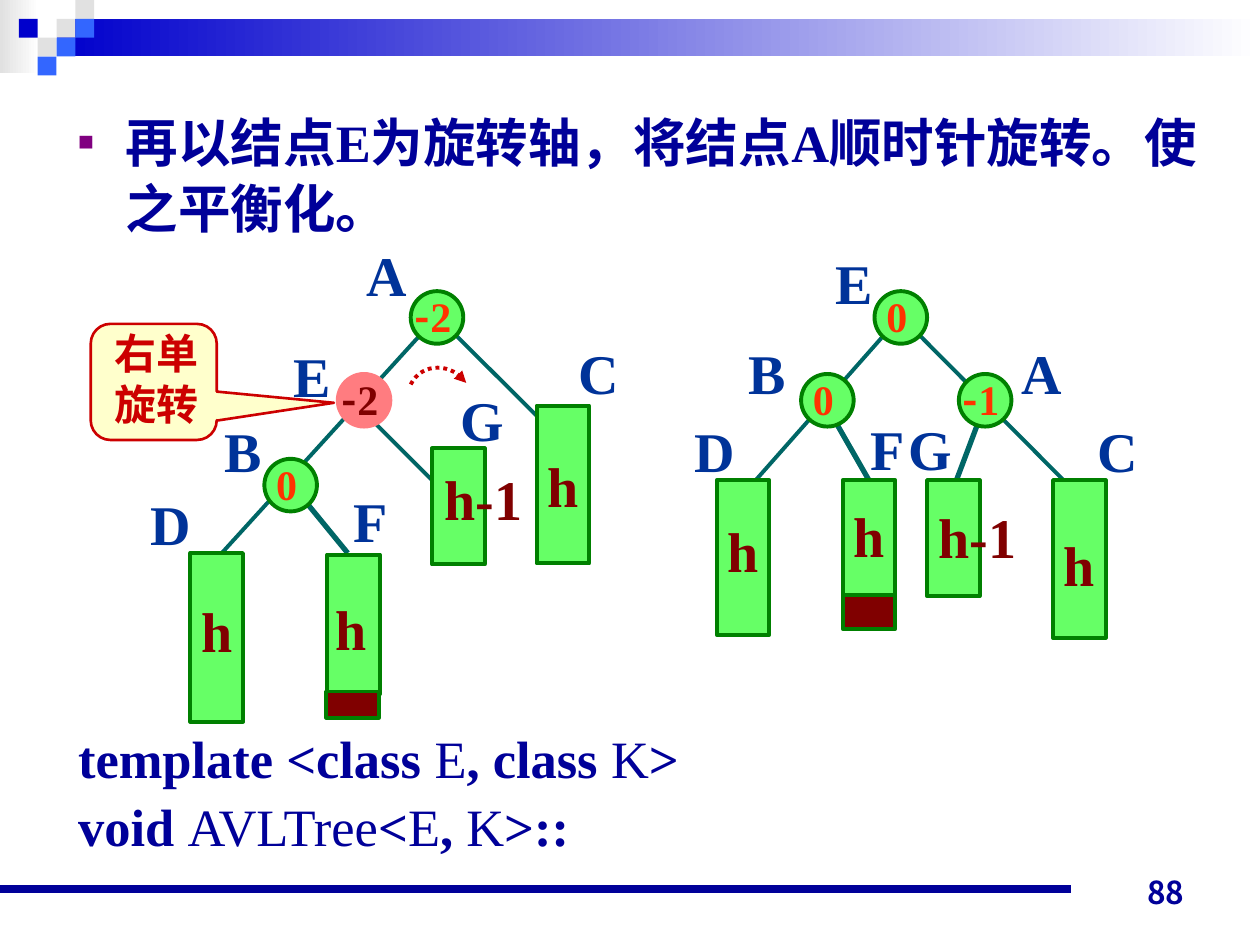
from lxml import etree
from pptx import Presentation
from pptx.dml.color import RGBColor
from pptx.enum.dml import MSO_LINE
from pptx.enum.shapes import MSO_CONNECTOR, MSO_SHAPE
from pptx.enum.text import MSO_ANCHOR, MSO_AUTO_SIZE, PP_ALIGN
from pptx.oxml.ns import qn
from pptx.util import Cm, Pt

NAVY = RGBColor(0x00, 0x00, 0x99)
BLUE = RGBColor(0x00, 0x00, 0xCC)
SKY = RGBColor(0x33, 0x66, 0xFF)
GREY = RGBColor(0xE1, 0xE1, 0xE1)
WHITE = RGBColor(0xFF, 0xFF, 0xFF)
LABEL = RGBColor(0x00, 0x33, 0x99)
TEAL = RGBColor(0x00, 0x66, 0x66)
GREEN = RGBColor(0x66, 0xFF, 0x66)
DARK_GREEN = RGBColor(0x00, 0x80, 0x00)
MAROON = RGBColor(0x80, 0x00, 0x00)
PINK = RGBColor(0xFF, 0x7C, 0x80)
RED = RGBColor(0xCC, 0x00, 0x00)
ORANGE = RGBColor(0xFF, 0x33, 0x00)
CREAM = RGBColor(0xFF, 0xFF, 0xCC)
SERIF, SANS, SANS_JP = "Times New Roman", "Noto Sans CJK SC", "Noto Sans CJK JP"
NODE = 1.06


def write(paragraph, text, size=32, color=LABEL, font=SERIF, bold=True):
    run = paragraph.add_run()
    run.text = text
    run.font.size, run.font.name, run.font.bold = Pt(size), font, bold
    run.font.color.rgb = color
    east_asian = etree.SubElement(run.font._element, qn("a:ea"))
    east_asian.set("typeface", SANS)


def add_text(slide, x, y, w, h, lines, align=PP_ALIGN.CENTER, wrap=False,
             anchor=MSO_ANCHOR.TOP, **style):
    frame = slide.shapes.add_textbox(Cm(x), Cm(y), Cm(w), Cm(h)).text_frame
    frame.word_wrap, frame.vertical_anchor = wrap, anchor
    for i, line in enumerate(lines):
        paragraph = frame.add_paragraph() if i else frame.paragraphs[0]
        paragraph.alignment = align
        for text, font in line:
            write(paragraph, text, font=font, **style)


def add_centred(slide, x, y, text, **style):
    runs = [("-", SANS), (text[1:], SERIF)] if text[0] == "-" else [(text, SERIF)]
    add_text(slide, x - 1.05, y - 0.8, 2.1, 1.6, [runs],
             anchor=MSO_ANCHOR.MIDDLE, **style)


def add_block(slide, kind, x, y, w, h, fill, line=None, weight=2.25):
    block = slide.shapes.add_shape(kind, Cm(x), Cm(y), Cm(w), Cm(h))
    block.shadow.inherit = False
    block.fill.solid()
    block.fill.fore_color.rgb = fill
    if line is None:
        block.line.fill.background()
    else:
        block.line.color.rgb, block.line.width = line, Pt(weight)
    return block


def add_line(slide, x1, y1, x2, y2, color=TEAL, weight=2.25):
    line = slide.shapes.add_connector(
        MSO_CONNECTOR.STRAIGHT, Cm(x1), Cm(y1), Cm(x2), Cm(y2))
    line.line.color.rgb, line.line.width = color, Pt(weight)
    etree.SubElement(line._element.spPr, qn("a:effectLst"))


def draw_header(slide, left, top, width):
    for x, y, w, h, start in [(0, 0, 0.79, 1.47, GREY),
                              (1.14, 0.38, width - 1.14, 0.76, BLUE)]:
        band = add_block(slide, MSO_SHAPE.RECTANGLE, left + x, top + y, w, h, start)
        band.fill.gradient()
        band.fill.gradient_angle = 0
        for stop, color in zip(band.fill.gradient_stops, (start, WHITE)):
            stop.color.rgb = color
        band.fill.gradient_stops[0].position = 0
        band.fill.gradient_stops[1].position = 1
    cell = 0.38
    for column, row, color in [(3, 1, GREY), (4, 0, GREY), (4, 1, SKY), (2, 2, GREY),
                               (1, 1, BLUE), (3, 2, SKY), (2, 3, SKY)]:
        add_block(slide, MSO_SHAPE.RECTANGLE, left + column * cell, top + row * cell,
                  cell, cell, color)


def draw_footer(slide, left, top, width):
    add_line(slide, left, top + 0.71, left + width * 0.85, top + 0.71, NAVY, 4.5)
    add_text(slide, left + width - 7.19, top, 5.92, 1.27, [[("88", SANS_JP)]],
             align=PP_ALIGN.RIGHT, wrap=True, anchor=MSO_ANCHOR.BOTTOM,
             size=18, color=NAVY)


def fill_body(body, left, top, width, height):
    body.left, body.top, body.width, body.height = map(Cm, (left, top, width, height))
    frame = body.text_frame
    frame.auto_size = MSO_AUTO_SIZE.NONE
    lines = [
        ([("再以结点E为旋转轴，将结点A顺时针旋转。使之平衡化。", True)], 0),
        ([("template <class ", True), ("E", False), (", class ", True),
          ("K", False), (">", True)], 278),
        ([("void ", True), ("AVLTree", False), ("<", True), ("E", False),
          (", ", True), ("K", False), (">::", True)], 3),
    ]
    for i, (runs, gap) in enumerate(lines):
        paragraph = frame.add_paragraph() if i else frame.paragraphs[0]
        properties = paragraph._p.get_or_add_pPr()
        properties.set("marL", str(Cm(0.96)))
        properties.set("indent", str(-Cm(0.96)))
        if i:
            etree.SubElement(properties, qn("a:buNone"))
        else:
            color = etree.SubElement(properties, qn("a:buClr"))
            etree.SubElement(color, qn("a:srgbClr")).set("val", "800080")
            etree.SubElement(properties, qn("a:buSzPct")).set("val", "50000")
            etree.SubElement(properties, qn("a:buChar")).set("char", "■")
        paragraph.space_before = Pt(gap)
        paragraph.line_spacing = 1 if i else 1.05
        paragraph.alignment = PP_ALIGN.LEFT if i else PP_ALIGN.JUSTIFY
        for text, bold in runs:
            write(paragraph, text, size=30, color=NAVY, bold=bold)


def draw_tree(slide, left, top, edges, subtrees, added, nodes, labels):
    for x1, y1, x2, y2, weight in edges:
        add_line(slide, left + x1, top + y1, left + x2, top + y2, weight=weight)
    for x, y, h, *_ in subtrees:
        add_block(slide, MSO_SHAPE.RECTANGLE, left + x, top + y, NODE, h,
                  GREEN, DARK_GREEN)
    x, y, h = added
    add_block(slide, MSO_SHAPE.RECTANGLE, left + x, top + y, NODE, h, MAROON, DARK_GREEN)
    for x, y, h, text, dx, dy in subtrees:
        add_centred(slide, left + x + NODE / 2 + dx, top + y + h / 2 + dy, text,
                    color=MAROON)
    for x, y, balance, pivot in nodes:
        add_block(slide, MSO_SHAPE.OVAL, left + x, top + y, NODE, NODE,
                  PINK if pivot else GREEN, PINK if pivot else DARK_GREEN)
        add_centred(slide, left + x + 0.45, top + y + 0.5, balance, size=24,
                    color=MAROON if pivot else ORANGE)
    for name, x, y in labels:
        add_centred(slide, left + x, top + y, name)


def draw_callout(slide, left, top, width, height):
    callout = add_block(slide, MSO_SHAPE.ROUNDED_RECTANGULAR_CALLOUT,
                        left, top, width, height, CREAM, RED, 1.5)
    for i, value in enumerate((1.43, 0.18, 0.17)):
        callout.adjustments[i] = value
    add_text(slide, left + 0.23, top - 0.05, width, height,
             [[("右单", SERIF)], [("旋转", SERIF)]], align=PP_ALIGN.LEFT, wrap=True,
             size=24, color=RED)


def draw_rotation(slide, left, top):
    controls = [(0, 0.13), (0.23, -0.33), (0.84, -0.3), (1.12, 0.1)]
    points = []
    for t in (step / 16 for step in range(17)):
        weights = ((1 - t) ** 3, 3 * t * (1 - t) ** 2, 3 * t * t * (1 - t), t ** 3)
        x, y = (sum(w * c[axis] for w, c in zip(weights, controls)) for axis in (0, 1))
        points.append((Cm(left + x), Cm(top + y)))
    builder = slide.shapes.build_freeform(*points[0])
    builder.add_line_segments(points[1:], close=False)
    arc = builder.convert_to_shape()
    arc.shadow.inherit = False
    arc.fill.background()
    arc.line.color.rgb, arc.line.width = RED, Pt(2.25)
    arc.line.dash_style = MSO_LINE.ROUND_DOT
    etree.SubElement(arc.line._get_or_add_ln(), qn("a:tailEnd")).set("type", "triangle")


def main():
    deck = Presentation()
    deck.slide_width, deck.slide_height = Cm(25.4), Cm(19.05)
    slide = deck.slides.add_slide(deck.slide_layouts[1])
    title = slide.shapes.title._element
    title.getparent().remove(title)
    fill_body(slide.placeholders[1], 1.32, 2.03, 23.06, 16.31)
    draw_header(slide, 0, 0, 25.4)
    draw_footer(slide, 0, 17.22, 25.4)
    draw_callout(slide, 1.83, 6.53, 2.54, 2.34)
    draw_tree(
        slide, 1.8, 4.7,
        edges=[(4.17, 5.18, 5.21, 6.45, 3), (7.34, 2.01, 9.25, 3.91, 2.25),
               (6.71, 2.01, 2.67, 6.45, 2.25), (5.64, 3.71, 6.91, 4.98, 2.25)],
        subtrees=[(9.02, 3.48, 3.18, "h", 0, 0), (2.04, 6.45, 3.4, "h", 0, -0.15),
                  (4.8, 6.48, 2.82, "h", -0.06, 0.07),
                  (6.91, 4.34, 2.34, "h-1", 0.51, -0.16)],
        added=(4.78, 9.24, 0.53),
        nodes=[(6.48, 1.17, "-2", False), (5.01, 2.84, "-2", True),
               (3.53, 4.55, "0", False)],
        labels=[("A", 6, 0.82), ("E", 4.5, 2.86), ("C", 10.27, 2.81), ("D", 1.65, 5.85),
                ("B", 3.1, 4.38), ("F", 5.68, 5.78), ("G", 7.92, 3.75)])
    draw_tree(
        slide, 13.7, 4.7,
        edges=[(6.06, 3.71, 5.43, 5.38, 3), (4.79, 2.01, 7.74, 4.98, 2.25),
               (4.16, 2.01, 1.18, 5.38, 2.25), (3.09, 3.71, 3.93, 5.18, 3)],
        subtrees=[(7.53, 4.98, 3.18, "h", 0, 0.1), (0.75, 4.98, 3.12, "h", 0, -0.15),
                  (3.29, 4.98, 2.41, "h", 0, -0.1), (4.99, 4.98, 2.34, "h-1", 0.49, -0.04)],
        added=(3.29, 7.29, 0.69),
        nodes=[(3.93, 1.17, "0", False), (2.45, 2.84, "0", False),
               (5.63, 2.84, "-1", False)],
        labels=[("E", 3.52, 0.98), ("B", 1.77, 2.81), ("A", 7.3, 2.81), ("D", 0.7, 4.38),
                ("F", 4.19, 4.33), ("G", 5.06, 4.33), ("C", 8.83, 4.38)])
    draw_rotation(slide, 8.28, 7.62)
    deck.save("out.pptx")


if __name__ == "__main__":
    main()
